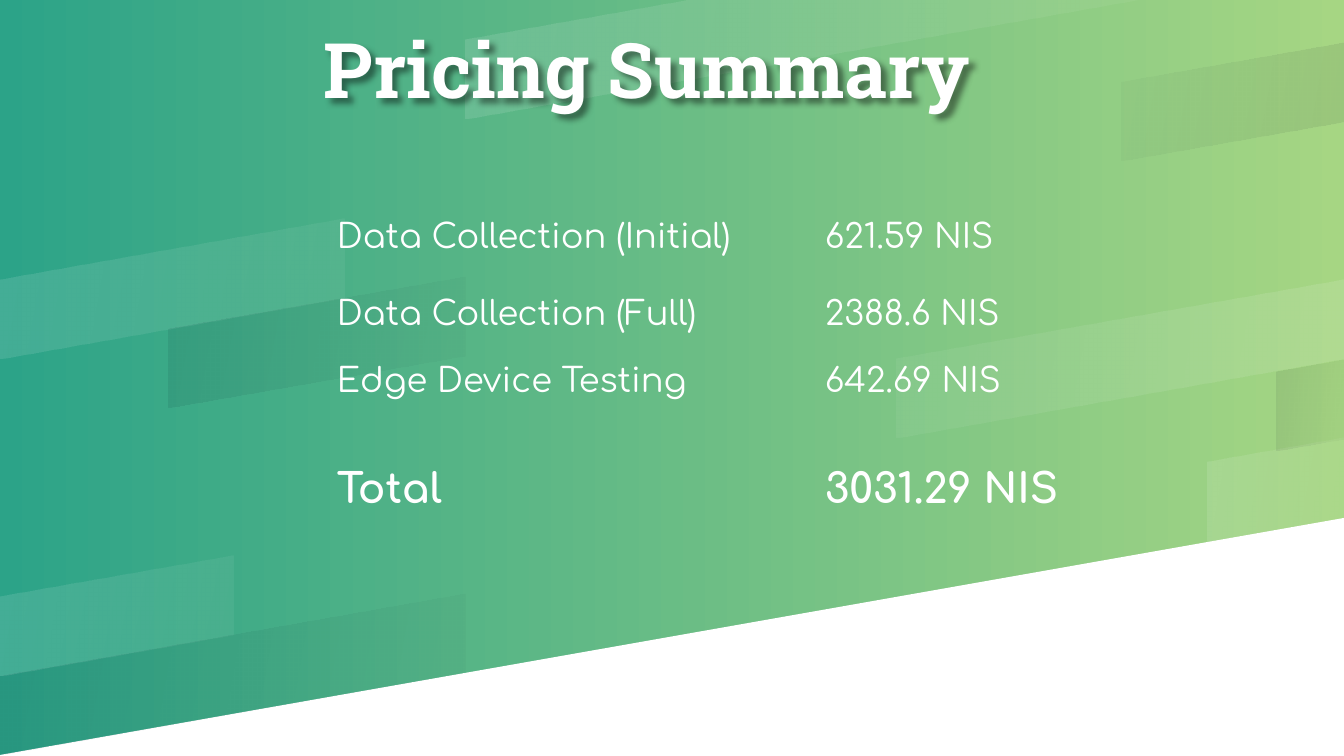
from lxml import etree
from pptx import Presentation
from pptx.dml.color import RGBColor
from pptx.enum.text import MSO_ANCHOR
from pptx.oxml.ns import qn
from pptx.util import Pt

PX = 914400 / 134.4  # EMU per px
WIDTH, HEIGHT = 1344, 756

MIDDLE = MSO_ANCHOR.MIDDLE
TEAL = RGBColor(0x2C, 0xA3, 0x88)
LIME = RGBColor(0xA6, 0xD6, 0x83)
WHITE = RGBColor(0xFF, 0xFF, 0xFF)
NAVY = RGBColor(0x00, 0x00, 0x1A)

TITLE_FONT, BODY_FONT = "Roboto Slab", "Comfortaa"
NO_GRID_STYLE = "{2D5ABB26-0587-4C30-8999-92F81FD0307C}"

SLOPE = 0.1763  # rise of every slanted edge, 10 degrees
BAND_HEIGHT = 79

# left, right, top of left side, colour, opacity in % at start and end
BANDS = [
    (465, 1140, 40, WHITE, 12, 5),
    (0, 465, 676, NAVY, 8, 2),
    (1208, 1344, 462, WHITE, 12, 5),
    (0, 233, 597, WHITE, 12, 5),
    (1276, 1344, 372, NAVY, 8, 2),
    (897, 1344, 359, WHITE, 5, 12),
    (169, 465, 329, NAVY, 8, 2),
    (0, 345, 280, WHITE, 12, 5),
    (1122, 1344, 82, NAVY, 2, 8),
]

# item, price, row height, text size, bold
PRICES = [
    ("Data Collection (Initial)", "621.59 NIS", 77, 18, False),
    ("Data Collection (Full)", "2388.6 NIS", 67, 18, False),
    ("Edge Device Testing", "642.69 NIS", 105, 18, False),
    ("Total", "3031.29 NIS", 145, 22, True),
]


def px(n):
    return round(n * PX)


def set_gradient(fill, start, end, angle):
    fill.gradient()
    fill.gradient_angle = angle
    for stop, color in zip(fill.gradient_stops, (start, end)):
        stop.color.rgb = color


def add_polygon(s, points):
    builder = s.shapes.build_freeform(*points[0], scale=PX)
    builder.add_line_segments(points[1:], close=True)
    sp = builder.convert_to_shape()
    sp.shadow.inherit = False
    sp.line.fill.background()
    return sp


def add_band(s, left, right, top, color, *opacities):
    rise = SLOPE * (right - left)
    # A band that runs over the slide's top edge is cut off there
    corner = (right, round(top - rise)) if rise <= top else (left + round(top / SLOPE), 0)
    bottom = top + BAND_HEIGHT
    sp = add_polygon(s, [(left, top), corner, (right, round(bottom - rise)), (left, bottom)])
    set_gradient(sp.fill, color, color, 350)
    for clr, opacity in zip(sp._element.spPr.iter(qn("a:srgbClr")), opacities):
        etree.SubElement(clr, qn("a:alpha"), val=str(opacity * 1000))


def format_text(p, font, size, bold):
    for r in p.runs:
        r.font.name = font
        r.font.size = Pt(size)
        r.font.bold = bold
        r.font.color.rgb = WHITE


def add_text_shadow(sp):
    effects = etree.SubElement(sp._element.spPr, qn("a:effectLst"))
    shadow = etree.SubElement(effects, qn("a:outerShdw"), blurRad="38100",
                              dist="38100", dir="2700000", algn="tl")
    clr = etree.SubElement(shadow, qn("a:srgbClr"), val="000000")
    etree.SubElement(clr, qn("a:alpha"), val="43000")


def add_title(s, text):
    sp = s.shapes.add_textbox(px(324), 0, px(671), px(148))
    tf = sp.text_frame
    tf.word_wrap = True
    tf.vertical_anchor = MIDDLE
    tf.margin_left = tf.margin_right = tf.margin_top = tf.margin_bottom = 0
    tf.text = text
    p = tf.paragraphs[0]
    p.line_spacing = 0.9
    format_text(p, TITLE_FONT, 41, True)
    add_text_shadow(sp)


def add_price_table(s):
    height = sum(row[2] for row in PRICES)
    table = s.shapes.add_table(len(PRICES), 2, px(324), px(206), px(976), px(height)).table
    table.first_row = table.horz_banding = False
    table._tbl.tblPr.find(qn("a:tableStyleId")).text = NO_GRID_STYLE
    for row, (item, price, row_height, size, bold) in zip(table.rows, PRICES):
        row.height = px(row_height)
        for cell, text in zip(row.cells, (item, price)):
            cell.fill.background()
            cell.margin_left = cell.margin_right = px(13)
            cell.margin_top = cell.margin_bottom = px(13)
            cell.text = text
            format_text(cell.text_frame.paragraphs[0], BODY_FONT, size, bold)


def main():
    prs = Presentation()
    prs.slide_width, prs.slide_height = px(WIDTH), px(HEIGHT)
    s = prs.slides.add_slide(prs.slide_layouts[6])

    # Background with the white wedge at the bottom
    set_gradient(s.background.fill, TEAL, LIME, 0)
    wedge = add_polygon(s, [(0, 755), (WIDTH, 518), (WIDTH, HEIGHT), (0, HEIGHT)])
    wedge.fill.solid()
    wedge.fill.fore_color.rgb = WHITE

    # Slanted translucent bands
    for band in BANDS:
        add_band(s, *band)

    # Content
    add_price_table(s)
    add_title(s, "Pricing Summary")
    prs.save("out.pptx")


if __name__ == "__main__":
    main()
